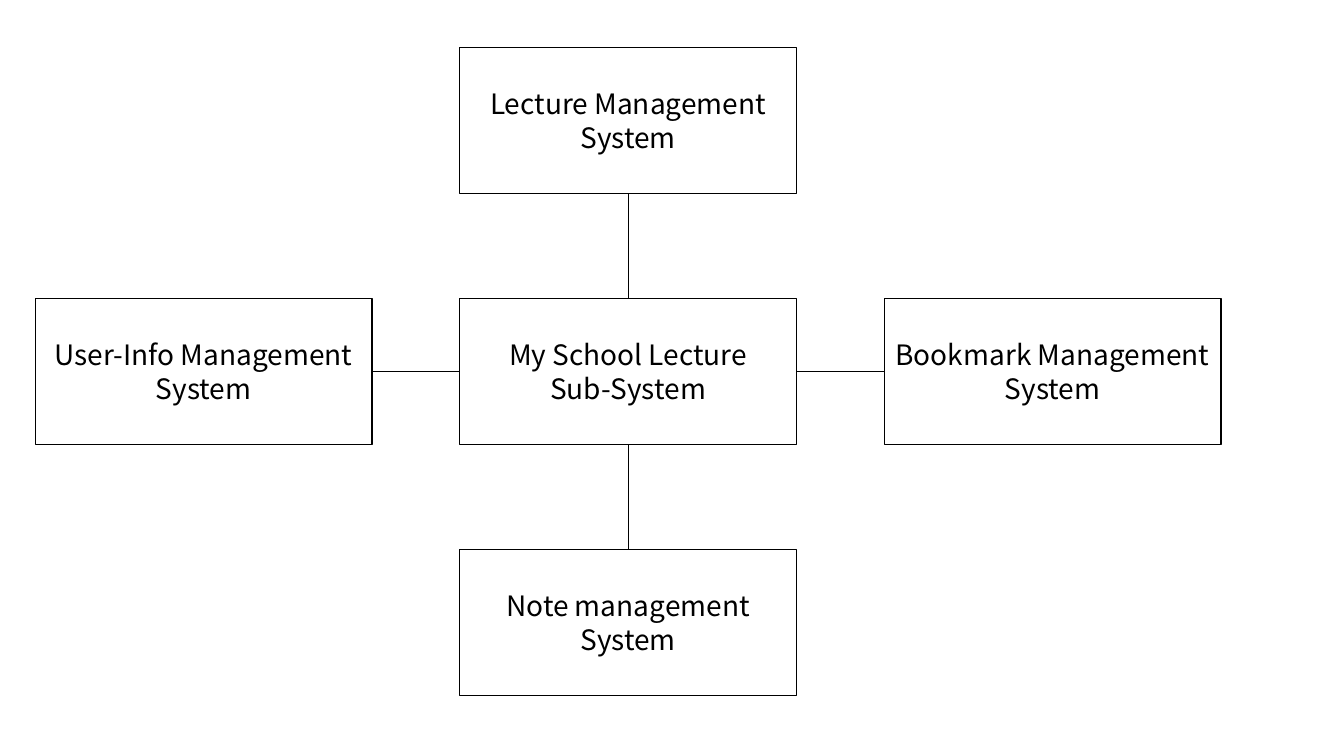
from lxml import etree
from pptx import Presentation
from pptx.dml.color import RGBColor
from pptx.enum.shapes import MSO_CONNECTOR, MSO_SHAPE
from pptx.enum.text import MSO_ANCHOR, PP_ALIGN
from pptx.oxml.ns import qn
from pptx.util import Inches, Pt

RECT = MSO_SHAPE.RECTANGLE
LINE = MSO_CONNECTOR.STRAIGHT
MIDDLE = MSO_ANCHOR.MIDDLE
CENTER = PP_ALIGN.CENTER
TOP, LEFT, BOTTOM, RIGHT = range(4)

COLORS = {"ink": "000000", "paper": "FFFFFF"}
FONT = "Noto Sans CJK KR"


def color(name):
    return RGBColor.from_string(COLORS[name])


def write(frame, text, size=20, ink="ink", font=FONT, align=CENTER, anchor=MIDDLE):
    frame.word_wrap = True
    frame.vertical_anchor = anchor
    frame.text = text
    for para in frame.paragraphs:
        para.alignment = align
        for run in para.runs:
            run.font.size = Pt(size)
            run.font.name = font
            run.font.color.rgb = color(ink)


class Chart:
    """Draws boxes on a grid of columns and rows, and the links between them."""

    left, top = 0.35, 0.47
    wide, high = 3.34, 1.45
    col_step, row_step = 4.21, 2.49

    def __init__(self, slide):
        self.shapes = slide.shapes

    def stroke(self, item, width):
        item.line.color.rgb = color("ink")
        item.line.width = Pt(width)

    def box(self, text, col, row):
        x = self.left + col * self.col_step
        y = self.top + row * self.row_step
        shape = self.shapes.add_shape(
            RECT, Inches(x), Inches(y), Inches(self.wide), Inches(self.high))
        shape.shadow.inherit = False
        shape.fill.solid()
        shape.fill.fore_color.rgb = color("paper")
        self.stroke(shape, 1)
        write(shape.text_frame, text)
        return shape

    def link(self, start, side, end, other):
        line = self.shapes.add_connector(LINE, 0, 0, 0, 0)
        line.begin_connect(start, side)
        line.end_connect(end, other)
        self.stroke(line, 0.5)
        etree.SubElement(line._element.spPr, qn("a:effectLst"))


deck = Presentation()
deck.slide_width, deck.slide_height = Inches(13.33), Inches(7.5)
chart = Chart(deck.slides.add_slide(deck.slide_layouts[6]))

hub = chart.box("My School Lecture\nSub-System", 1, 1)
systems = [
    ("Lecture Management", 1, 0, TOP, BOTTOM),
    ("User-Info Management", 0, 1, LEFT, RIGHT),
    ("Bookmark Management", 2, 1, RIGHT, LEFT),
    ("Note management", 1, 2, BOTTOM, TOP),
]
for name, col, row, side, other in systems:
    node = chart.box(f"{name}\nSystem", col, row)
    chart.link(hub, side, node, other)

deck.save("out.pptx")
